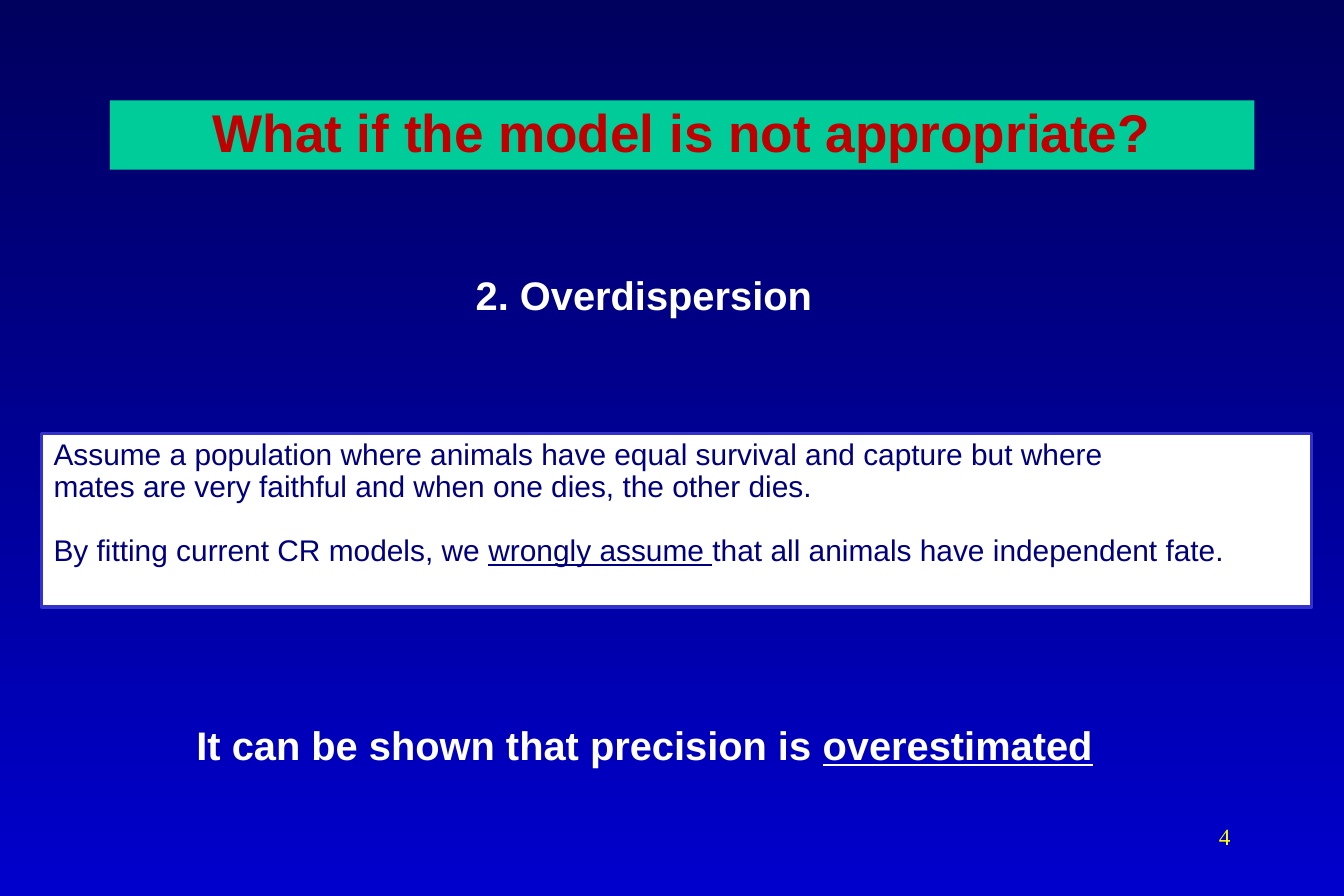
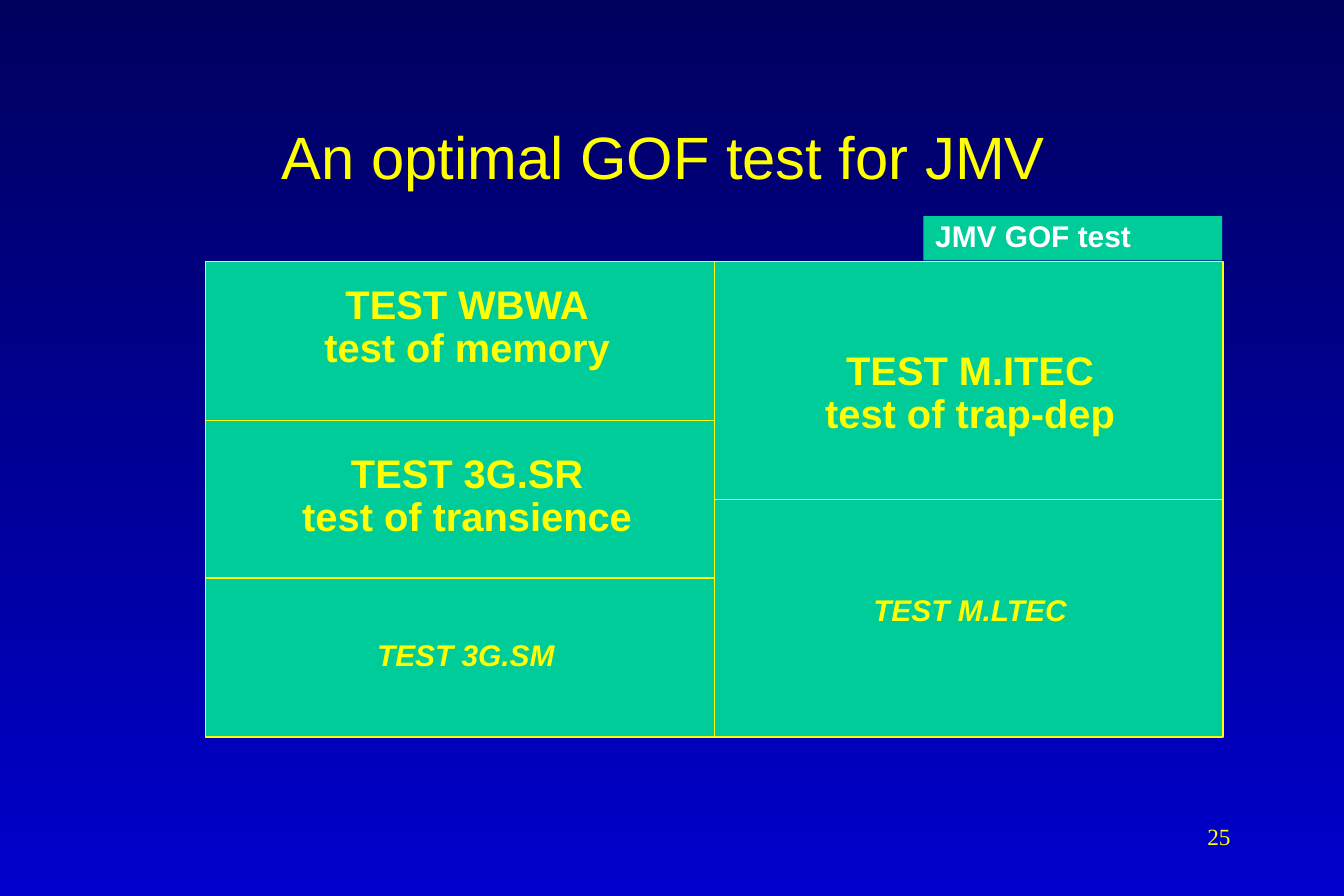
from dataclasses import dataclass

from lxml.etree import SubElement
from pptx import Presentation
from pptx.dml.color import RGBColor
from pptx.enum.shapes import MSO_CONNECTOR, MSO_SHAPE
from pptx.enum.text import MSO_ANCHOR, MSO_AUTO_SIZE, PP_ALIGN
from pptx.oxml.ns import qn
from pptx.util import Pt

PX = 9144  # EMU per px, 100 px to the inch


@dataclass(frozen=True)
class Theme:
    sky: str = "00005E"
    deep: str = "0000CC"
    green: str = "00CC99"
    yellow: str = "FFFF00"
    white: str = "FFFFFF"
    red: str = "C00000"
    navy: str = "00007F"
    border: str = "3333CC"
    sans: str = "Arial"
    serif: str = "Times New Roman"
    title: int = 36
    banner: int = 32
    heading: int = 24
    body: int = 18
    number: int = 14


theme = Theme()


def write(box, paragraphs, size, color, align=PP_ALIGN.CENTER, bold=False,
          italic=False, font=theme.sans, spacing=0.9, anchor=MSO_ANCHOR.TOP):
    """Fill a shape with paragraphs, each a list of runs; every second run is underlined."""
    frame = box.text_frame
    frame.word_wrap = True
    frame.auto_size = MSO_AUTO_SIZE.NONE
    frame.vertical_anchor = anchor
    for index, runs in enumerate(paragraphs):
        para = frame.add_paragraph() if index else frame.paragraphs[0]
        para.alignment = align
        para.line_spacing = spacing
        for position, text in enumerate(runs):
            span = para.add_run()
            span.text = text
            span.font.name = font
            span.font.size = Pt(size)
            span.font.bold = bold
            span.font.italic = italic
            span.font.underline = position % 2 == 1
            span.font.color.rgb = RGBColor.from_string(color)


def add_box(page, bounds, fill=None, line=None, line_width=1):
    """Add a text box, or a rectangle when a fill is given."""
    left, top, width, height = (value * PX for value in bounds)
    if fill is None:
        return page.shapes.add_textbox(left, top, width, height)
    box = page.shapes.add_shape(MSO_SHAPE.RECTANGLE, left, top, width, height)
    box.shadow.inherit = False
    box.fill.solid()
    box.fill.fore_color.rgb = RGBColor.from_string(fill)
    if line:
        box.line.color.rgb = RGBColor.from_string(line)
        box.line.width = Pt(line_width)
    else:
        box.line.fill.background()
    return box


deck = Presentation()
deck.slide_width, deck.slide_height = 1125 * PX, 750 * PX

background = deck.slide_master.background.fill
background.gradient()
background.gradient_angle = 270
for stop, color in zip(background.gradient_stops, (theme.sky, theme.deep)):
    stop.color.rgb = RGBColor.from_string(color)

# Both pages: title placeholder and page number
pages = []
for number, title_bounds in (("4", (92, 84, 958, 58)), ("25", (33, 55, 1045, 150))):
    page = deck.slides.add_slide(deck.slide_layouts[5])
    title = page.shapes.title
    title.left, title.top, title.width, title.height = (value * PX for value in title_bounds)
    write(add_box(page, (806, 683, 234, 50)), [[number]], theme.number, theme.yellow,
          align=PP_ALIGN.RIGHT, font=theme.serif, spacing=1.0)
    pages.append(page)
overdispersion, gof_test = pages

# Overdispersion
banner = overdispersion.shapes.title
banner.fill.solid()
banner.fill.fore_color.rgb = RGBColor.from_string(theme.green)
write(banner, [["What if the model is not appropriate?"]], theme.banner, theme.red, bold=True)

assumption = add_box(overdispersion, (35, 363, 1063, 145), theme.white, theme.border, 2)
write(assumption, [
    ["Assume a population where animals have equal survival and capture but where"],
    ["mates are very faithful and when one dies, the other dies."],
    ["By fitting current CR models, we ", "wrongly assume ",
     "that all animals have independent fate."],
], theme.body, theme.navy, align=PP_ALIGN.LEFT)
assumption.text_frame.paragraphs[2].space_before = Pt(19)

for bounds, runs in (
    ((342, 226, 394, 46), ["2. Overdispersion"]),
    ((122, 603, 835, 46), ["It can be shown that precision is ", "overestimated"]),
):
    write(add_box(overdispersion, bounds), [runs], theme.heading, theme.white, bold=True)

# Goodness-of-fit test: left column in thirds, right column in halves
write(gof_test.shapes.title, [["An optimal GOF test for JMV"]], theme.title, theme.yellow,
      spacing=1.0, anchor=MSO_ANCHOR.MIDDLE)

left, top, width, height = panel = (172, 219, 852, 398)
middle, right, bottom = left + width // 2, left + width, top + height
add_box(gof_test, panel, theme.green, theme.yellow)
write(add_box(gof_test, (773, 181, 250, 37), theme.green), [["JMV GOF test"]],
      theme.body, theme.white, align=PP_ALIGN.LEFT, bold=True)

dividers = [(middle, top, middle, bottom)]
for start, end, rows in ((left, middle, 3), (middle, right, 2)):
    for row in range(1, rows):
        level = top + round(height * row / rows)
        dividers.append((start, level, end, level))
for ends in dividers:
    divider = gof_test.shapes.add_connector(MSO_CONNECTOR.STRAIGHT, *(value * PX for value in ends))
    divider.line.color.rgb = RGBColor.from_string(theme.yellow)
    divider.line.width = Pt(1)
    SubElement(divider.line._get_or_add_ln().getparent(), qn("a:effectLst"))

for bounds, lines in (
    ((227, 234, 328, 82), ["TEST WBWA", "test of memory"]),
    ((227, 375, 328, 82), ["TEST 3G.SR", "test of transience"]),
    ((273, 531, 234, 37), ["TEST 3G.SM"]),
    ((648, 289, 328, 82), ["TEST M.ITEC", "test of trap-dep"]),
    ((695, 494, 234, 37), ["TEST M.LTEC"]),
):
    minor = len(lines) == 1
    write(add_box(gof_test, bounds), [[line] for line in lines],
          theme.body if minor else theme.heading, theme.yellow, bold=True, italic=minor)

deck.save("out.pptx")
